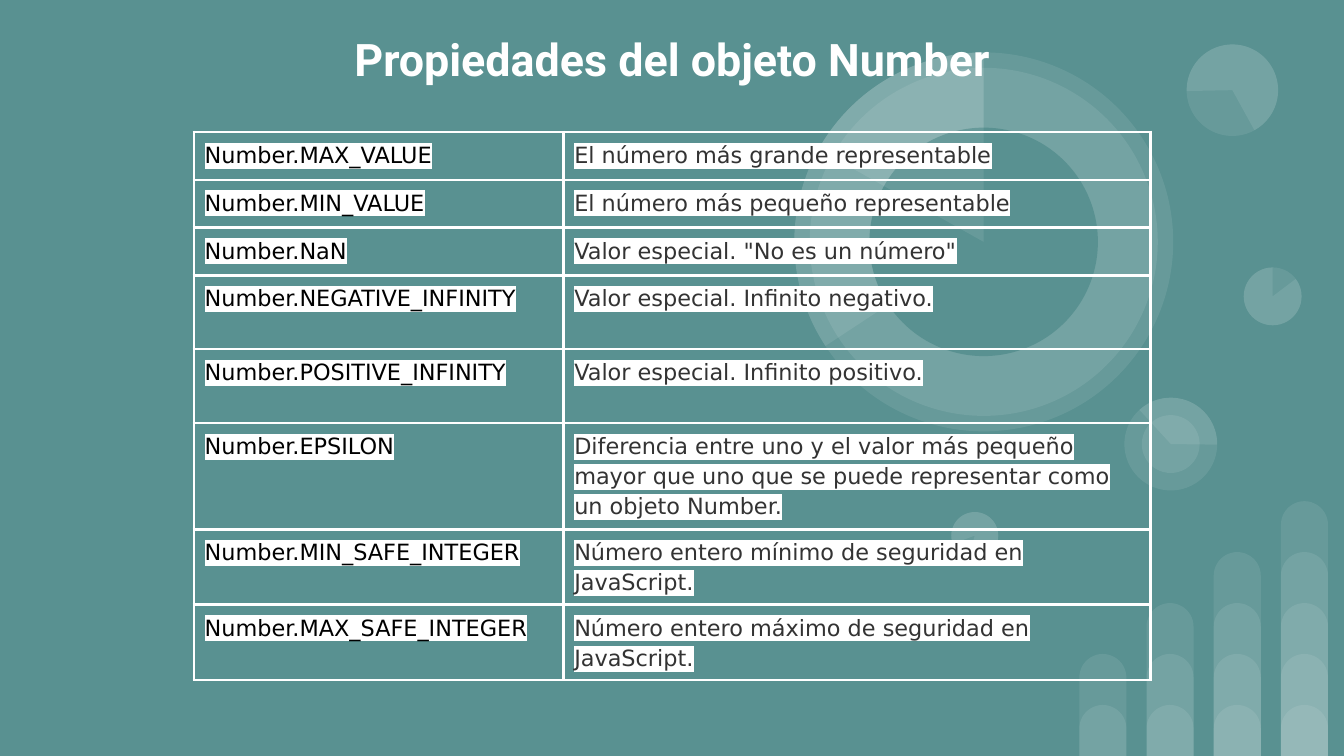
from dataclasses import dataclass
from lxml.etree import SubElement
from pptx import Presentation
from pptx.dml.color import RGBColor as RGB
from pptx.enum.shapes import MSO_SHAPE as Form
from pptx.enum.text import MSO_ANCHOR as Anchor, PP_ALIGN as Align
from pptx.oxml import parse_xml
from pptx.oxml.ns import nsdecls, qn
from pptx.util import Pt


@dataclass(frozen=True)
class Theme:
    back: str = "599191"
    white: str = "FFFFFF"
    black: str = "000000"
    gray: str = "333333"
    veil: int = 9000
    head: int = 24
    body: int = 12
    line: float = 1.47
    title: str = "Roboto"
    text: str = "DejaVu Sans"


THEME = Theme()

ROWS = [
    (25.6, "Number.MAX_VALUE", "El número más grande representable"),
    (25.6, "Number.MIN_VALUE", "El número más pequeño representable"),
    (25.6, "Number.NaN", 'Valor especial. "No es un número"'),
    (39.6, "Number.NEGATIVE_INFINITY", "Valor especial. Infinito negativo."),
    (39.6, "Number.POSITIVE_INFINITY", "Valor especial. Infinito positivo."),
    (55.5, "Number.EPSILON",
     "Diferencia entre uno y el valor más pequeño mayor que uno "
     "que se puede representar como un objeto Number."),
    (39.6, "Number.MIN_SAFE_INTEGER",
     "Número entero mínimo de seguridad en JavaScript."),
    (39.6, "Number.MAX_SAFE_INTEGER",
     "Número entero máximo de seguridad en JavaScript."),
]


def add_form(group, form, left, top, width, height, solid=False):
    shape = group.shapes.add_shape(form, Pt(left), Pt(top), Pt(width), Pt(height))
    shape.shadow.inherit = False
    shape.line.fill.background()
    shape.fill.solid()
    shape.fill.fore_color.rgb = RGB.from_string(THEME.back if solid else THEME.white)
    if not solid:
        color = shape._element.spPr.find(".//" + qn("a:srgbClr"))
        SubElement(color, qn("a:alpha"), val=str(THEME.veil))
    return shape


def add_bars(slide, left, top, width, height):
    group = slide.shapes.add_group_shape()
    count, thick = 4, 25.2
    step = (width - thick) / (count - 1)
    unit = height / (count + 1)
    for col in range(count):
        for level in range(1, col + 3):
            tall = level * unit
            bar = add_form(group, Form.ROUND_2_SAME_RECTANGLE,
                           left + col * step, top + height - tall, thick, tall)
            bar.adjustments[0] = 0.5
            bar.adjustments[1] = 0


def add_pies(slide, left, top):
    group = slide.shapes.add_group_shape()

    def disc(mid, size, arc=None, turn=0, solid=False):
        form = Form.PIE if arc else Form.OVAL
        shape = add_form(group, form, left + mid[0] - size / 2,
                         top + mid[1] - size / 2, size, size, solid)
        shape.rotation = turn
        if arc:
            shape.adjustments[0], shape.adjustments[1] = arc

    small = [
        ((256.3, 135), 31, (193.77, 162), 0),
        ((96.7, 263.1), 25.2, (193.77, 162), 196.2),
        ((201.7, 214.1), 49.7, (82.45, 162.46), 90),
        ((234.7, 24.5), 49, (193.77, 123.14), 215.9),
    ]
    for mid, size, arc, turn in small:
        disc(mid, size)
        disc(mid, size, arc, turn)
    disc((201.7, 214.1), 31)

    hub, wide = (101.5, 105.8), 203
    disc(hub, wide)
    disc(hub, 186.5)
    disc(hub, wide, (88.01, 162))
    disc(hub, 122.4, solid=True)
    disc(hub, wide, (125.54, 162))


def add_title(slide, left, top, width, height):
    box = slide.shapes.add_textbox(Pt(left), Pt(top), Pt(width), Pt(height))
    frame = box.text_frame
    frame.word_wrap = True
    frame.vertical_anchor = Anchor.MIDDLE
    para = frame.paragraphs[0]
    para.text = "Propiedades del objeto Number"
    para.alignment = Align.CENTER
    font = para.font
    font.name, font.size, font.bold = THEME.title, Pt(THEME.head), True
    font.color.rgb = RGB.from_string(THEME.white)


def fill_cell(cell, text, color):
    cell.margin_left = cell.margin_right = Pt(5.76)
    cell.margin_top = cell.margin_bottom = Pt(3.6)
    cell.fill.background()
    props = cell._tc.get_or_add_tcPr()
    for spot, side in enumerate(("lnL", "lnR", "lnT", "lnB")):
        props.insert(spot, parse_xml(
            f'<a:{side} {nsdecls("a")} w="{Pt(THEME.line)}"><a:solidFill>'
            f'<a:srgbClr val="{THEME.white}"/></a:solidFill></a:{side}>'))
    para = cell.text_frame.paragraphs[0]
    para.line_spacing = 1.15
    run = para.add_run()
    run.text = text
    mark = SubElement(run._r.get_or_add_rPr(), qn("a:highlight"))
    SubElement(mark, qn("a:srgbClr"), val=THEME.white)
    font = para.font
    font.name, font.size = THEME.text, Pt(THEME.body)
    font.color.rgb = RGB.from_string(color)


def add_grid(slide, left, top, width):
    height = sum(row[0] for row in ROWS)
    table = slide.shapes.add_table(len(ROWS), 2, Pt(left), Pt(top),
                                   Pt(width), Pt(height)).table
    table.first_row = table.horz_banding = False
    first = 198
    table.columns[0].width = Pt(first)
    table.columns[1].width = Pt(width - first)
    for row, (tall, name, note) in zip(table.rows, ROWS):
        row.height = Pt(tall)
        fill_cell(row.cells[0], name, THEME.black)
        fill_cell(row.cells[1], note, THEME.gray)


def main():
    deck = Presentation()
    deck.slide_width, deck.slide_height = Pt(720), Pt(405)
    slide = deck.slides.add_slide(deck.slide_layouts[6])
    back = slide.background.fill
    back.solid()
    back.fore_color.rgb = RGB.from_string(THEME.back)
    add_bars(slide, 578.2, 268.5, 133.2, 136.5)
    add_pies(slide, 425.5, 23.8)
    add_title(slide, 52.8, 16, 614.4, 30.4)
    add_grid(slide, 103.9, 70.7, 512.4)
    deck.save("out.pptx")


if __name__ == "__main__":
    main()
